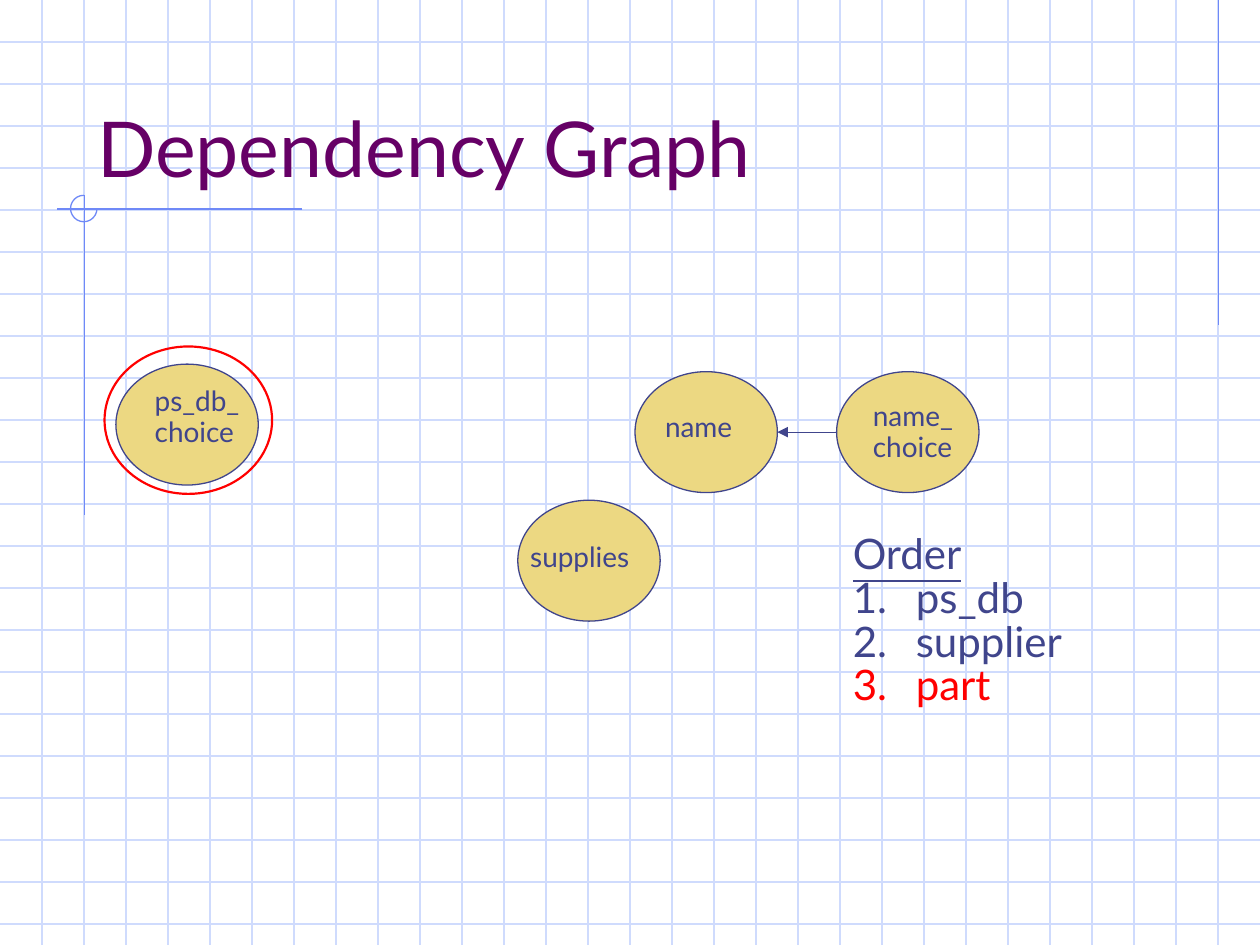
from typing import NamedTuple

from lxml.etree import SubElement
from pptx import Presentation
from pptx.dml.color import RGBColor
from pptx.enum.shapes import MSO_CONNECTOR as Conn, MSO_SHAPE as Shape
from pptx.enum.text import MSO_ANCHOR as Anchor, MSO_AUTO_SIZE as AutoSize, PP_ALIGN as Align
from pptx.oxml.ns import qn
from pptx.util import Inches, Pt

FONT = "Lato"
COLORS = {
    "grid": "CFDBFD",
    "accent": "6F89F7",
    "title": "660066",
    "node": "ECD882",
    "ink": "40458C",
    "mark": "FF0000",
}
WIDTH, HEIGHT = 10, 7.5
NODE_W, NODE_H = 1.13, 0.96


class Box(NamedTuple):
    x: float
    y: float
    w: float
    h: float


class Node(NamedTuple):
    x: float
    y: float
    label: Box
    lines: tuple[str, ...]


class Line(NamedTuple):
    x1: float
    y1: float
    x2: float
    y2: float
    color: str


class Item(NamedTuple):
    text: str
    color: str = "ink"
    numbered: bool = True


NODES = [
    Node(5.04, 2.95, Box(5.18, 3.2, 0.86, 0.37), ("name",)),
    Node(4.11, 3.97, Box(4.11, 4.23, 1.13, 0.37), ("supplies",)),
    Node(6.64, 2.95, Box(6.83, 3.25, 0.9, 0.46), ("name_", "choice")),
    Node(0.92, 2.89, Box(1.13, 3.13, 1.03, 0.46), ("ps_db_", "choice")),
]
GRID = [Line(0, i / 3, WIDTH, i / 3, "grid") for i in range(1, 23)]
GRID += [Line(i / 3, 0, i / 3, HEIGHT, "grid") for i in range(1, 30)]
ACCENTS = [
    Line(9.67, 0, 9.67, 2.58, "accent"),
    Line(2.4, 1.66, 0.45, 1.66, "accent"),
    Line(0.67, 1.55, 0.67, 4.09, "accent"),
]
ORDER = [Item("Order", numbered=False), Item("ps_db"), Item("supplier"), Item("part", "mark")]


def rgb(name: str) -> RGBColor:
    return RGBColor.from_string(COLORS[name])


def add_line(slide, line: Line, arrow: bool = False) -> None:
    ends = [Inches(v) for v in line[:4]]
    cxn = slide.shapes.add_connector(Conn.STRAIGHT, *ends)
    cxn.line.color.rgb = rgb(line.color)
    cxn.line.width = Pt(0.75)
    if arrow:
        SubElement(cxn.line._get_or_add_ln(), qn("a:tailEnd"), type="triangle")
    SubElement(cxn._element.spPr, qn("a:effectLst"))


def add_outline(slide, kind: Shape, box: Box, color: str, width: float = 0.75):
    sp = slide.shapes.add_shape(kind, *[Inches(v) for v in box])
    sp.shadow.inherit = False
    sp.fill.background()
    sp.line.color.rgb = rgb(color)
    sp.line.width = Pt(width)
    return sp


def add_text_frame(slide, box: Box):
    tf = slide.shapes.add_textbox(*[Inches(v) for v in box]).text_frame
    tf.word_wrap = True
    tf.auto_size = AutoSize.SHAPE_TO_FIT_TEXT
    return tf


def next_paragraph(tf, index: int, space: float):
    if index == 0:
        return tf.paragraphs[0]
    p = tf.add_paragraph()
    p.space_before = Pt(space)
    return p


def add_run(p, text: str, size: float, color: str):
    r = p.add_run()
    r.text = text
    r.font.name = FONT
    r.font.size = Pt(size)
    r.font.color.rgb = rgb(color)
    return r


def add_node(slide, node: Node) -> None:
    sp = add_outline(slide, Shape.OVAL, Box(node.x, node.y, NODE_W, NODE_H), "ink")
    sp.fill.solid()
    sp.fill.fore_color.rgb = rgb("node")
    tf = add_text_frame(slide, node.label)
    for i, text in enumerate(node.lines):
        p = next_paragraph(tf, i, 10)
        if len(node.lines) > 1:
            p.line_spacing = 0.4
        add_run(p, text, 16, "ink")


def add_order(slide, box: Box, items: list[Item]) -> None:
    tf = add_text_frame(slide, box)
    for i, item in enumerate(items):
        p = next_paragraph(tf, i, 12)
        p.line_spacing = 0.45
        pPr = p._p.get_or_add_pPr()
        pPr.set("marL", str(Inches(0.5)))
        pPr.set("indent", str(-Inches(0.5)))
        if item.numbered:
            clr = SubElement(pPr, qn("a:buClr"))
            SubElement(clr, qn("a:srgbClr"), val=COLORS[item.color])
            SubElement(pPr, qn("a:buAutoNum"), type="arabicPeriod")
        r = add_run(p, item.text, 24, item.color)
        r.font.underline = not item.numbered


def add_title(slide, box: Box, text: str) -> None:
    title = slide.shapes.title
    title.left, title.top, title.width, title.height = [Inches(v) for v in box]
    slide.shapes._spTree.append(title._element)
    tf = title.text_frame
    tf.vertical_anchor = Anchor.BOTTOM
    p = tf.paragraphs[0]
    p.alignment = Align.LEFT
    add_run(p, text, 44, "title")


def main() -> None:
    prs = Presentation()
    prs.slide_width, prs.slide_height = Inches(WIDTH), Inches(HEIGHT)
    s = prs.slides.add_slide(prs.slide_layouts[5])
    for line in GRID + ACCENTS:
        add_line(s, line)
    arc = add_outline(s, Shape.ARC, Box(0.56, 1.55, 0.21, 0.21), "accent")
    arc.adjustments[0], arc.adjustments[1] = 0, 162
    add_title(s, Box(0.67, 0.33, 8.5, 1.25), "Dependency Graph")
    for node in NODES:
        add_node(s, node)
    add_line(s, Line(6.64, 3.43, 6.17, 3.43, "ink"), arrow=True)
    add_order(s, Box(6.67, 4.33, 3.17, 1.32), ORDER)
    add_outline(s, Shape.OVAL, Box(0.83, 2.75, 1.33, 1.17), "mark", 1.25)
    prs.save("out.pptx")


if __name__ == "__main__":
    main()
